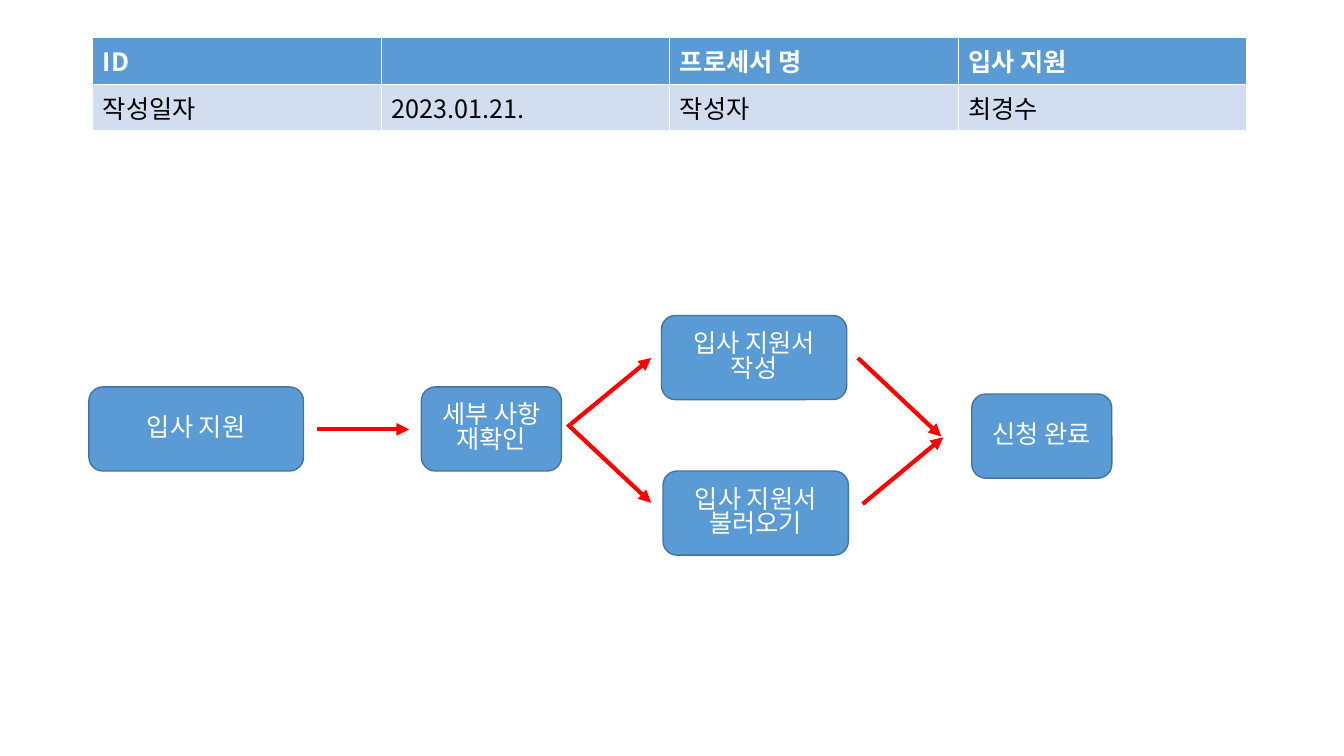
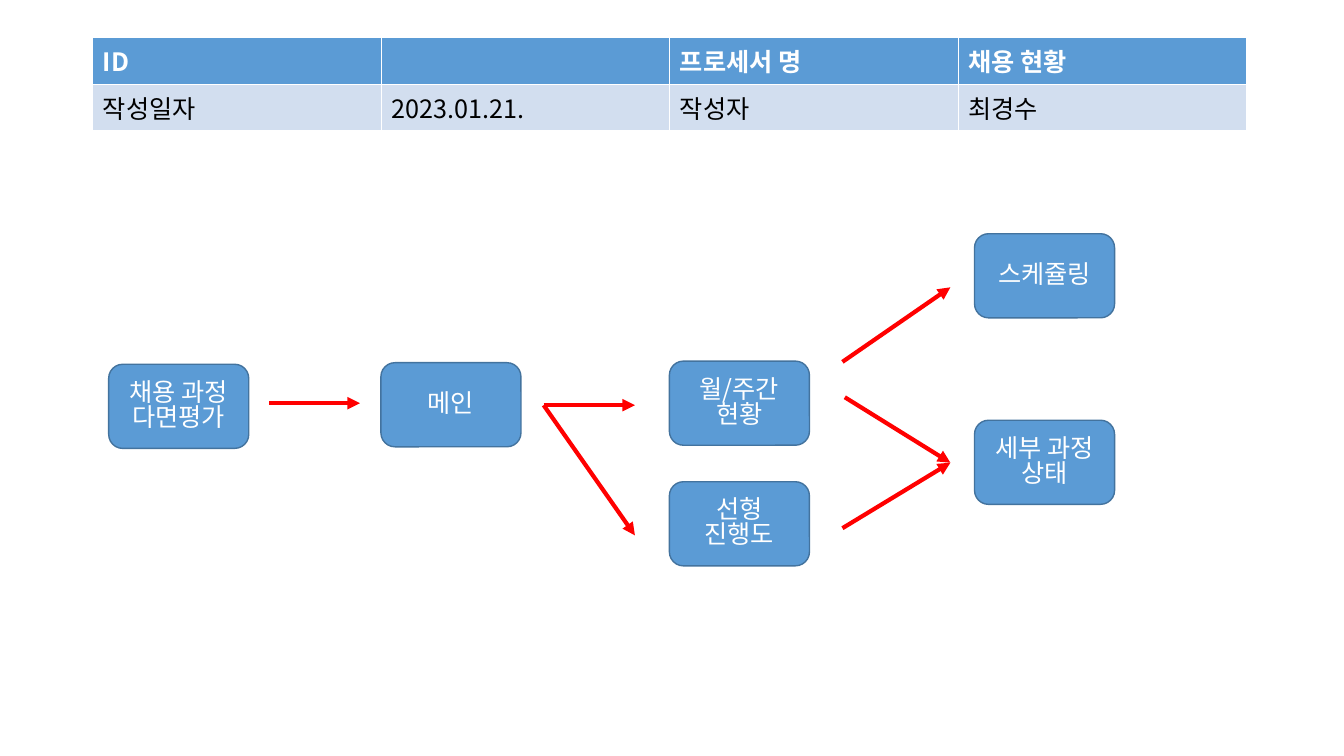
from lxml import etree
from pptx import Presentation
from pptx.dml.color import RGBColor
from pptx.enum.shapes import MSO_CONNECTOR, MSO_SHAPE
from pptx.enum.text import MSO_ANCHOR, PP_ALIGN
from pptx.oxml.ns import qn
from pptx.util import Cm, Pt

FONT = "Noto Sans CJK KR"
BLUE, PALE, EDGE = "5B9BD5", "D2DEEF", "43739E"
RED, WHITE, BLACK = "FF0000", "FFFFFF", "000000"

# Shared geometry in centimetres
TABLE_LEFT, TABLE_TOP = 2.34, 0.95
COLUMN_WIDTH, ROW_HEIGHT = 7.27, 1.17
BOX_HEIGHT = 2.12
NARROW, MEDIUM, WIDE = 3.53, 4.67, 5.41

# Each box: paragraphs, left, top, width. Each arrow: start x, y, end x, y.
PROCESSES = [
    {
        "name": "입사 지원",
        "boxes": [
            (["입사 지원"], 2.24, 9.75, WIDE),
            (["세부 사항 재확인"], 10.62, 9.75, NARROW),
            (["입사 지원서", "작성"], 16.67, 7.95, MEDIUM),
            (["신청 완료"], 24.49, 9.93, NARROW),
            (["입사 지원서", "불러오기"], 16.71, 11.87, MEDIUM),
        ],
        "arrows": [
            (8, 10.82, 10.31, 10.82),
            (14.38, 10.69, 16.41, 9.02),
            (14.3, 10.69, 16.41, 12.67),
            (21.62, 9.02, 23.72, 11),
            (21.74, 12.7, 23.77, 11.02),
        ],
    },
    {
        "name": "채용 현황",
        "boxes": [
            (["채용 과정", "다면평가"], 2.74, 9.18, NARROW),
            (["메인"], 9.6, 9.14, NARROW),
            (["월/주간 현황"], 16.87, 9.1, NARROW),
            (["선형 진행도"], 16.87, 12.14, NARROW),
            (["세부 과정 상태"], 24.56, 10.59, NARROW),
            (["스케쥴링"], 24.56, 5.89, NARROW),
        ],
        "arrows": [
            (6.78, 10.16, 9.07, 10.16),
            (13.7, 10.21, 16, 13.49),
            (13.7, 10.21, 16, 10.21),
            (21.23, 13.31, 23.95, 11.66),
            (21.29, 10.01, 23.95, 11.66),
            (21.23, 9.12, 23.95, 7.24),
        ],
    },
]


def colour(value):
    return RGBColor.from_string(value)


def add_run(para, text, text_colour, bold=False):
    span = para.add_run()
    span.text = text
    span.font.name = FONT
    span.font.size = Pt(18)
    span.font.bold = bold
    span.font.color.rgb = colour(text_colour)
    east_asian = etree.SubElement(span.font._element, qn("a:ea"))
    east_asian.set("typeface", FONT)


def add_cell_borders(cell):
    properties = cell._tc.get_or_add_tcPr()
    for side in ("lnL", "lnR", "lnT", "lnB"):
        border = etree.SubElement(properties, qn(f"a:{side}"), w=str(Pt(1)))
        fill = etree.SubElement(border, qn("a:solidFill"))
        etree.SubElement(fill, qn("a:srgbClr"), val=WHITE)


def add_process_table(page, process_name):
    rows = [
        ["ID", "", "프로세서 명", process_name],
        ["작성일자", "2023.01.21.", "작성자", "최경수"],
    ]
    styles = [(BLUE, WHITE, True), (PALE, BLACK, False)]
    columns = len(rows[0])
    table = page.shapes.add_table(
        len(rows), columns, Cm(TABLE_LEFT), Cm(TABLE_TOP),
        Cm(COLUMN_WIDTH * columns), Cm(ROW_HEIGHT * len(rows))).table
    for r, (texts, (fill, text_colour, bold)) in enumerate(zip(rows, styles)):
        for c, text in enumerate(texts):
            cell = table.cell(r, c)
            add_cell_borders(cell)
            cell.fill.solid()
            cell.fill.fore_color.rgb = colour(fill)
            if text:
                add_run(cell.text_frame.paragraphs[0], text, text_colour, bold)


def add_box(page, texts, left, top, width):
    box = page.shapes.add_shape(
        MSO_SHAPE.ROUNDED_RECTANGLE, Cm(left), Cm(top), Cm(width), Cm(BOX_HEIGHT))
    box.shadow.inherit = False
    box.fill.solid()
    box.fill.fore_color.rgb = colour(BLUE)
    box.line.color.rgb = colour(EDGE)
    box.line.width = Pt(1)
    frame = box.text_frame
    frame.word_wrap = True
    frame.vertical_anchor = MSO_ANCHOR.MIDDLE
    for index, text in enumerate(texts):
        para = frame.add_paragraph() if index else frame.paragraphs[0]
        para.alignment = PP_ALIGN.CENTER
        para.line_spacing = 0.82
        add_run(para, text, WHITE)


def add_arrow(page, *ends):
    arrow = page.shapes.add_connector(MSO_CONNECTOR.STRAIGHT, *map(Cm, ends))
    arrow.line.color.rgb = colour(RED)
    arrow.line.width = Pt(3)
    etree.SubElement(arrow.line._get_or_add_ln(), qn("a:tailEnd"), type="triangle")
    etree.SubElement(arrow._element.spPr, qn("a:effectLst"))


def main():
    deck = Presentation()
    deck.slide_width, deck.slide_height = Cm(33.87), Cm(19.05)
    blank_layout = deck.slide_layouts[6]
    for process in PROCESSES:
        page = deck.slides.add_slide(blank_layout)
        add_process_table(page, process["name"])
        for box in process["boxes"]:
            add_box(page, *box)
        for arrow in process["arrows"]:
            add_arrow(page, *arrow)
    deck.save("out.pptx")


if __name__ == "__main__":
    main()
